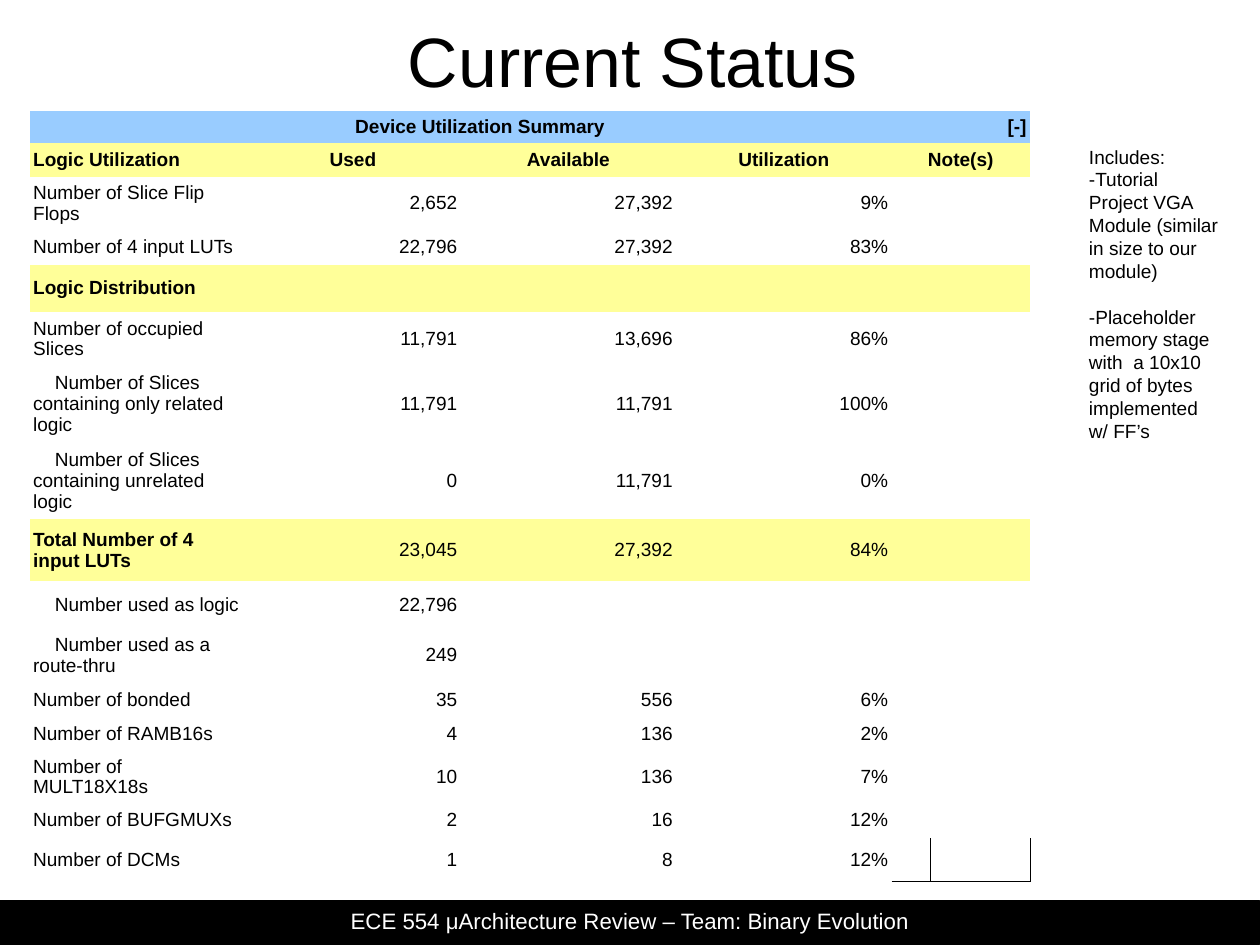
from pptx import Presentation
from pptx.dml.color import RGBColor
from pptx.enum.shapes import MSO_SHAPE
from pptx.enum.text import MSO_ANCHOR, PP_ALIGN
from pptx.oxml.ns import qn
from pptx.util import Cm, Inches, Pt
from lxml import etree

LEFT, CENTER, RIGHT = PP_ALIGN.LEFT, PP_ALIGN.CENTER, PP_ALIGN.RIGHT
TOP, MIDDLE = MSO_ANCHOR.TOP, MSO_ANCHOR.MIDDLE
RECT = MSO_SHAPE.RECTANGLE
COLORS = {"black": "000000", "white": "FFFFFF", "blue": "99CCFF", "yellow": "FFFF99"}
FONT = "Arial"
WIDTH, HEIGHT = Cm(28), Cm(21)
NO_STYLE = "{2D5ABB26-0587-4C30-8999-92F81FD0307C}"
BOX_INSETS = (0.1, 0.05, 0.1, 0.05)
INDENT = Inches(0.19)

COLUMNS = [17.1] * 4 + [3.09, 7.89]
SUMMARY = [
    (3.39, "blue", ["Device Utilization Summary", "", "", "", "", "[-]"]),
    (3.65, "yellow", ["Logic Utilization", "Used", "Available", "Utilization", "Note(s)"]),
    (5.5, "white", ["Number of Slice Flip Flops", "2,652", "27,392", "9%"]),
    (3.76, "white", ["Number of 4 input LUTs", "22,796", "27,392", "83%"]),
    (4.97, "yellow", ["Logic Distribution"]),
    (5.82, "white", ["Number of occupied Slices", "11,791", "13,696", "86%"]),
    (8, "white", ["Number of Slices containing only related logic", "11,791", "11,791", "100%"]),
    (8.15, "white", ["Number of Slices containing unrelated logic", "0", "11,791", "0%"]),
    (6.56, "yellow", ["Total Number of 4 input LUTs", "23,045", "27,392", "84%"]),
    (4.97, "white", ["Number used as logic", "22,796"]),
    (5.82, "white", ["Number used as a route-thru", "249"]),
    (3.6, "white", ["Number of bonded", "35", "556", "6%"]),
    (3.6, "white", ["Number of RAMB16s", "4", "136", "2%"]),
    (5.5, "white", ["Number of MULT18X18s", "10", "136", "7%"]),
    (3.7, "white", ["Number of BUFGMUXs", "2", "16", "12%"]),
    (4.6, "white", ["Number of DCMs", "1", "8", "12%"]),
]
INDENTED_ROWS = {6, 7, 9, 10}
NOTES = ["Includes:",
         "-Tutorial Project VGA Module (similar in size to our module)",
         "-Placeholder memory stage with  a 10x10 grid of bytes implemented w/ FF’s"]


def across(share):
    """Turn a percentage of the slide width into a length."""
    return int(WIDTH * share / 100)


def down(share):
    """Turn a percentage of the slide height into a length."""
    return int(HEIGHT * share / 100)


def place(x, y, w, h):
    """Turn a box in percentages into lengths."""
    return across(x), down(y), across(w), down(h)


def rgb(name):
    """Look up a colour by name."""
    return RGBColor.from_string(COLORS[name])


def write(p, text, size, align=LEFT, spacing=1.0, color="black", bold=False):
    """Write one run into a paragraph."""
    p.alignment, p.line_spacing = align, spacing
    r = p.add_run()
    r.text = text
    r.font.name, r.font.size, r.font.bold = FONT, Pt(size), bold
    r.font.color.rgb = rgb(color)


def add_text(s, box, lines, size, insets=BOX_INSETS, anchor=TOP, **style):
    """Add a text box with one paragraph per line and return its paragraphs."""
    tf = s.shapes.add_textbox(*place(*box)).text_frame
    tf.word_wrap, tf.vertical_anchor = True, anchor
    tf.margin_left, tf.margin_top, tf.margin_right, tf.margin_bottom = map(Inches, insets)
    for i, line in enumerate(lines):
        write(tf.add_paragraph() if i else tf.paragraphs[0], line, size, **style)
    return tf.paragraphs


def add_bar(s, box, color):
    """Add a plain filled rectangle."""
    sp = s.shapes.add_shape(RECT, *place(*box))
    sp.shadow.inherit = False
    sp.fill.solid()
    sp.fill.fore_color.rgb = sp.line.color.rgb = rgb(color)
    sp.line.width = Pt(0.75)


def border(cell, sides):
    """Draw thin black lines on the given sides of a cell."""
    tcPr = cell._tc.get_or_add_tcPr()
    for side in sides:
        ln = etree.SubElement(tcPr, qn(f"a:ln{side}"), w=str(Pt(0.45)))
        fill = etree.SubElement(ln, qn("a:solidFill"))
        etree.SubElement(fill, qn("a:srgbClr"), val=COLORS["black"])


def cell_style(row, col):
    """Return the alignment and weight of a cell's text."""
    if row < 2:
        align = RIGHT if col == 5 else LEFT if (row, col) == (1, 0) else CENTER
        return align, True
    return (RIGHT if col else LEFT), col == 0 and row in (4, 8)


def fill_cell(cell, row, col, text):
    """Set a cell's margins and text."""
    cell.vertical_anchor = MIDDLE
    cell.margin_left = cell.margin_right = Inches(0.03)
    cell.margin_top = cell.margin_bottom = Inches(0.03)
    p = cell.text_frame.paragraphs[0]
    if text:
        align, bold = cell_style(row, col)
        write(p, text, 12, align, 0.98, bold=bold)
        if col == 0 and row in INDENTED_ROWS:
            p._p.get_or_add_pPr().set("indent", str(INDENT))
    else:
        p._p.get_or_add_endParaRPr().set("sz", "1200")


def add_summary(s, x, y):
    """Add the device utilization table."""
    heights = [height for height, _, _ in SUMMARY]
    box = place(x, y, sum(COLUMNS), sum(heights))
    table = s.shapes.add_table(len(SUMMARY), len(COLUMNS), *box).table
    table.first_row = table.horz_banding = False
    table._tbl.tblPr.find(qn("a:tableStyleId")).text = NO_STYLE
    for column, width in zip(table.columns, COLUMNS):
        column.width = across(width)
    last = len(SUMMARY) - 1
    for row, (height, color, texts) in enumerate(SUMMARY):
        table.rows[row].height = down(height)
        for col in range(len(COLUMNS)):
            cell = table.cell(row, col)
            fill_cell(cell, row, col, texts[col] if col < len(texts) else "")
            if row == last and col > 3:
                border(cell, "RB" if col == 4 else "LRB")
            else:
                cell.fill.solid()
                cell.fill.fore_color.rgb = rgb(color)
        if 0 < row < last:
            table.cell(row, 4).merge(table.cell(row, 5))
    table.cell(0, 0).merge(table.cell(0, 4))


def main():
    """Build the status slide."""
    prs = Presentation()
    prs.slide_width, prs.slide_height = WIDTH, HEIGHT
    s = prs.slides.add_slide(prs.slide_layouts[6])
    add_bar(s, (0, 95.33, 100, 4.6), "black")
    add_text(s, (0, 95.68, 100, 4.32), ["ECE 554 μArchitecture Review – Team: Binary Evolution"],
             14, align=CENTER, spacing=0.93, color="white")
    add_text(s, (5.26, 1.09, 89.99, 11), ["Current Status"], 44,
             insets=(0, 0.04, 0, 0), anchor=MIDDLE, align=CENTER, spacing=0.93)
    add_summary(s, 2.36, 11.73)
    notes = add_text(s, (85.54, 14.75, 12.07, 32.65), NOTES, 12)
    notes[-1].space_before = Pt(14.4)
    prs.save("out.pptx")


if __name__ == "__main__":
    main()
